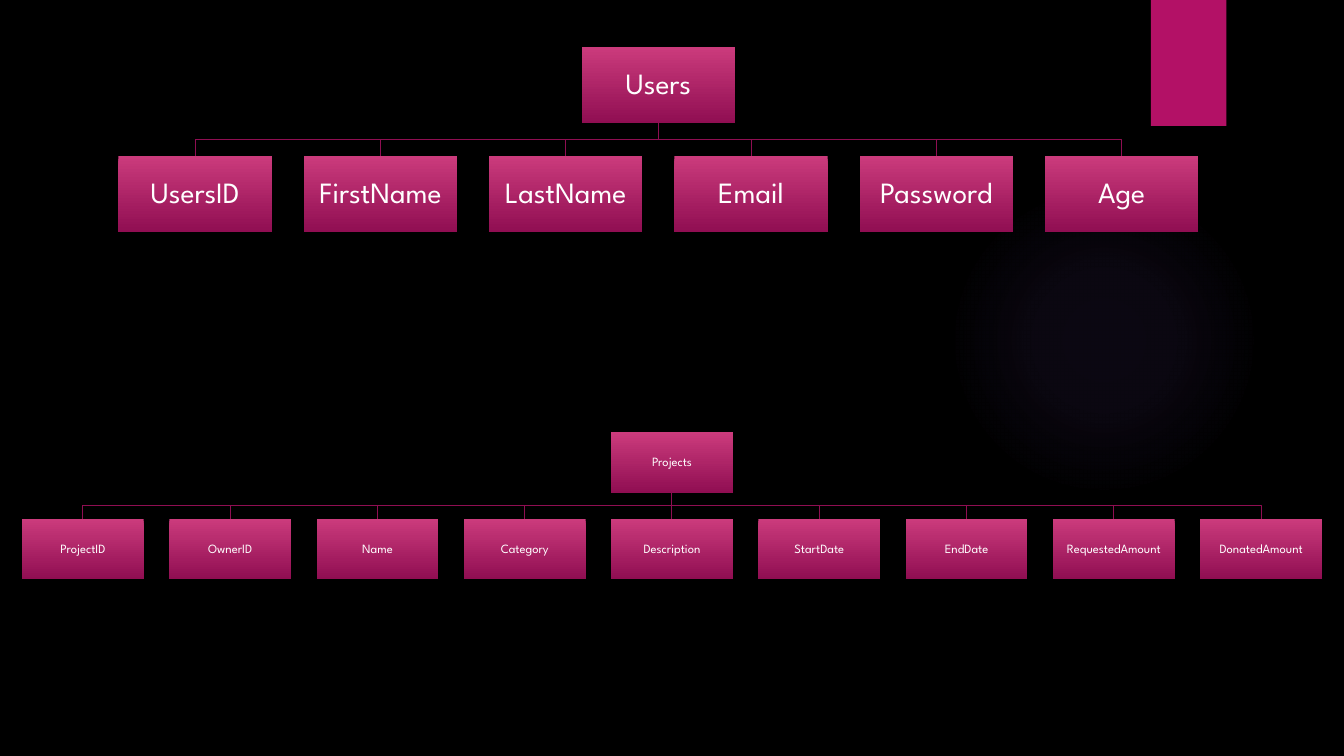
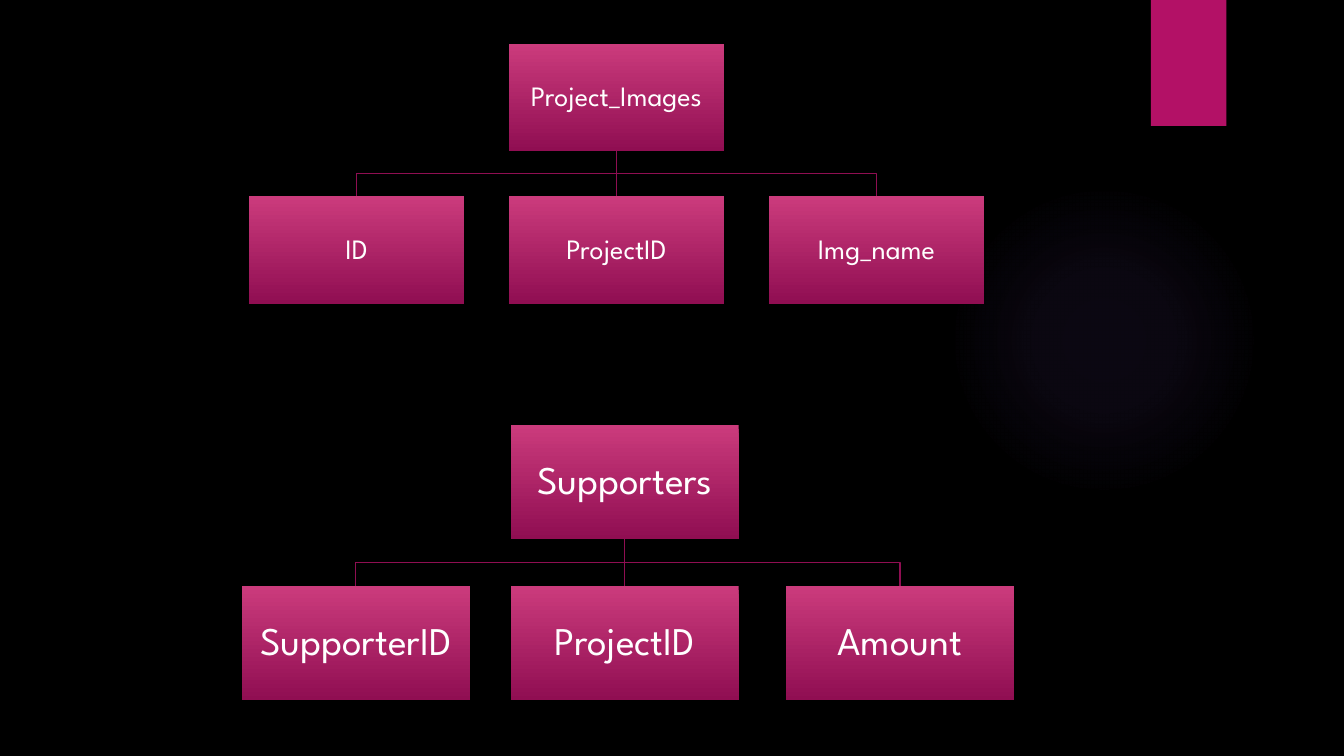
"""Build two slides of database table trees on a shared dark layout."""
from dataclasses import dataclass

from pptx import Presentation
from pptx.dml.color import RGBColor
from pptx.enum.shapes import MSO_CONNECTOR, MSO_SHAPE
from pptx.enum.text import MSO_ANCHOR, PP_ALIGN
from pptx.oxml import parse_xml
from pptx.oxml.ns import nsdecls, qn
from pptx.util import Pt


@dataclass(frozen=True)
class Theme:
    font: str = "League Spartan"
    background: str = "000000"
    text: str = "FFFFFF"
    ribbon: str = "B31166"
    box_top: str = "CB3B7C"
    box_bottom: str = "900E52"
    line: str = "8F0E52"
    glow: str = "9B6BF2"
    small: float = 9
    medium: float = 20
    large: float = 21
    huge: float = 28
    line_width: float = 0.75


THEME = Theme()
GLOW_STOPS = [(0, 7), (36, 6), (69, 0)]


def row(start, pitch, count):
    return [start + pitch * index for index in range(count)]


PAGES = [
    [
        dict(root="Users",
             fields=["UsersID", "FirstName", "LastName", "Email", "Password", "Age"],
             lefts=row(84.6, 132.36, 6), tops=(33.6, 111.4), size=(109.6, 54.6),
             text_size=THEME.large),
        dict(root="Projects",
             fields=["ProjectID", "OwnerID", "Name", "Category", "Description",
                     "StartDate", "EndDate", "RequestedAmount", "DonatedAmount"],
             lefts=row(15.7, 105.2, 9), tops=(308.7, 370.5), size=(87, 43.4),
             text_size=THEME.small),
    ],
    [
        dict(root="Project_Images", fields=["ID", "ProjectID", "Img_name"],
             lefts=row(177.9, 185.7, 3), tops=(31.2, 140.2), size=(153.5, 76.8),
             text_size=THEME.medium),
        dict(root="Supporters", fields=["SupporterID", "ProjectID", "Amount"],
             lefts=[172.8, 364.9, 561.5], tops=(303.5, 418.8), size=(162.8, 81.3),
             text_size=THEME.huge),
    ],
]


def color(name):
    return RGBColor.from_string(name)


def add_plain(page, kind, left, top, width, height):
    shape = page.shapes.add_shape(kind, Pt(left), Pt(top), Pt(width), Pt(height))
    shape.shadow.inherit = False
    shape.line.fill.background()
    return shape


def add_glow(page):
    glow = add_plain(page, MSO_SHAPE.OVAL, 677.5, 131.8, 221.8, 221.8)
    glow.fill.background()
    stops = "".join(
        f'<a:gs pos="{position * 1000}"><a:srgbClr val="{THEME.glow}">'
        f'<a:alpha val="{alpha * 1000}"/></a:srgbClr></a:gs>'
        for position, alpha in GLOW_STOPS)
    gradient = parse_xml(
        f'<a:gradFill {nsdecls("a")}><a:gsLst>{stops}</a:gsLst><a:path path="circle">'
        '<a:fillToRect l="50000" t="50000" r="50000" b="50000"/></a:path></a:gradFill>')
    properties = glow.element.spPr
    properties.replace(properties.find(qn("a:noFill")), gradient)
    return glow


def add_ribbon(page):
    ribbon = add_plain(page, MSO_SHAPE.RECTANGLE, 822, 0, 54, 90)
    ribbon.fill.solid()
    ribbon.fill.fore_color.rgb = color(THEME.ribbon)
    return ribbon


def style_layout(layout, page):
    layout.background.fill.solid()
    layout.background.fill.fore_color.rgb = color(THEME.background)
    for shape in (add_glow(page), add_ribbon(page)):
        layout.shapes.element.append(shape.element)


def write_text(frame, text, *, size, name=THEME.text, align=PP_ALIGN.CENTER):
    frame.word_wrap = True
    frame.vertical_anchor = MSO_ANCHOR.MIDDLE
    frame.margin_left = frame.margin_right = Pt(1)
    frame.margin_top = frame.margin_bottom = Pt(1)
    para = frame.paragraphs[0]
    para.alignment = align
    para.line_spacing = 0.9
    span = para.add_run()
    span.text = text
    span.font.name = THEME.font
    span.font.size = Pt(size)
    span.font.color.rgb = color(name)


def add_box(page, text, left, top, size, text_size):
    box = add_plain(page, MSO_SHAPE.RECTANGLE, left, top, *size)
    box.fill.gradient()
    box.fill.gradient_angle = 270
    for stop, name in zip(box.fill.gradient_stops, (THEME.box_top, THEME.box_bottom)):
        stop.color.rgb = color(name)
    write_text(box.text_frame, text, size=text_size)
    return box


def style_line(line):
    line.color.rgb = color(THEME.line)
    line.width = Pt(THEME.line_width)


def add_elbow(page, start, end):
    bus = (start[1] + end[1]) / 2
    corners = [(start[0], bus), (end[0], bus), end]
    builder = page.shapes.build_freeform(Pt(start[0]), Pt(start[1]))
    builder.add_line_segments([(Pt(x), Pt(y)) for x, y in corners], close=False)
    elbow = builder.convert_to_shape()
    elbow.shadow.inherit = False
    elbow.fill.background()
    style_line(elbow.line)


def add_drop(page, start, end, root_box, field_box):
    drop = page.shapes.add_connector(
        MSO_CONNECTOR.STRAIGHT, *(Pt(value) for value in (*start, *end)))
    drop.begin_connect(root_box, 2)
    drop.end_connect(field_box, 0)
    style_line(drop.line)
    drop.element.spPr.append(parse_xml(f'<a:effectLst {nsdecls("a")}/>'))


def add_tree(page, root, fields, lefts, tops, size, text_size):
    width, height = size
    root_top, field_top = tops
    count = len(lefts)
    root_left = (lefts[(count - 1) // 2] + lefts[count // 2]) / 2
    start = (root_left + width / 2, root_top + height)
    ends = [(left + width / 2, field_top) for left in lefts]
    middle = count // 2 if count % 2 else None

    for index in reversed(range(count)):
        if index != middle:
            add_elbow(page, start, ends[index])
    root_box = add_box(page, root, root_left, root_top, size, text_size)
    boxes = [add_box(page, field, left, field_top, size, text_size)
             for field, left in zip(fields, lefts)]
    if middle is not None:
        add_drop(page, start, ends[middle], root_box, boxes[middle])


def main():
    deck = Presentation()
    deck.slide_width, deck.slide_height = Pt(960), Pt(540)
    layout = deck.slide_layouts[6]
    pages = [deck.slides.add_slide(layout) for _ in PAGES]
    style_layout(layout, pages[0])
    for page, trees in zip(pages, PAGES):
        for tree in trees:
            add_tree(page, **tree)
    deck.save("out.pptx")


if __name__ == "__main__":
    main()
